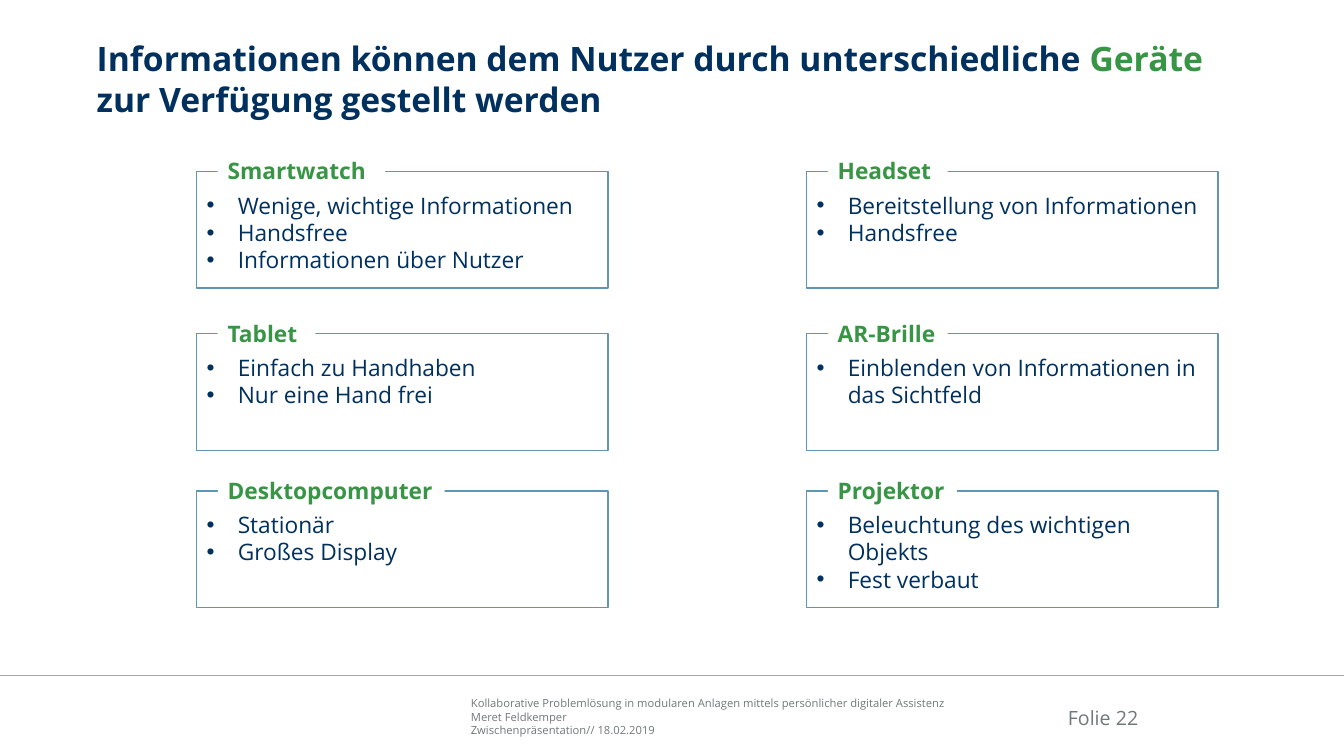
from pptx import Presentation, util as u
from pptx.dml.color import RGBColor
from pptx.enum import shapes, text
from lxml import etree

THEME = dict(font="Open Sans", navy="00305E", green="379545", blue="6096B3",
             grey="727879", rule="A6A6A6", white="FFFFFF",
             title=24, body=16.2, page=14, small=8)
A = "{http://schemas.openxmlformats.org/drawingml/2006/main}"

prs = Presentation()
prs.slide_width, prs.slide_height = u.Inches(13.33), u.Inches(7.5)
slide = prs.slides.add_slide(prs.slide_layouts[6])


def add_box(x, y, w, h, insets, anchor, fill=None, line=None):
    """Text box, or a rectangle when a fill is given."""
    area = [u.Inches(n) for n in (x, y, w, h)]
    if fill:
        sp = slide.shapes.add_shape(shapes.MSO_SHAPE.RECTANGLE, *area)
        sp.shadow.inherit = False
        sp.fill.solid()
        sp.fill.fore_color.rgb = RGBColor.from_string(THEME[fill])
        if line:
            sp.line.color.rgb = RGBColor.from_string(THEME[line])
            sp.line.width = u.Pt(1)
        else:
            sp.line.fill.background()
    else:
        sp = slide.shapes.add_textbox(*area)
    tf = sp.text_frame
    tf.word_wrap = True
    tf.vertical_anchor = anchor
    tf.margin_left, tf.margin_top, tf.margin_right, tf.margin_bottom = [
        u.Inches(n) for n in insets]
    return tf


def style(tf, size, color, bold=False, align=text.PP_ALIGN.LEFT):
    for p in tf.paragraphs:
        p.alignment = align
        for r in p.runs:
            r.font.name, r.font.size, r.font.bold = THEME["font"], u.Pt(THEME[size]), bold
            r.font.color.rgb = RGBColor.from_string(THEME[color])


TOP, MIDDLE, BOTTOM = (text.MSO_ANCHOR.TOP, text.MSO_ANCHOR.MIDDLE,
                       text.MSO_ANCHOR.BOTTOM)

# Footer: rule, talk details, page number
rule = slide.shapes.add_connector(shapes.MSO_CONNECTOR.STRAIGHT, 0, u.Inches(6.7),
                                  prs.slide_width, u.Inches(6.7))
rule.line.color.rgb = RGBColor.from_string(THEME["rule"])
rule.line.width = u.Pt(1)
etree.SubElement(rule._element.spPr, A + "effectLst")

tf = add_box(4.67, 6.91, 4.91, 0.4, (0, 0, 0, 0), BOTTOM)
tf.text = ("Kollaborative Problemlösung in modularen Anlagen mittels persönlicher "
           "digitaler Assistenz\nMeret Feldkemper\nZwischenpräsentation// 18.02.2019")
style(tf, "small", "grey")

tf = add_box(10.3, 6.87, 0.99, 0.5, (0, 0, 0, 0.13), BOTTOM)
tf.text = "Folie 22"
style(tf, "page", "grey", align=text.PP_ALIGN.RIGHT)

# Title with one highlighted word
tf = add_box(0.96, 0.38, 11.57, 0.75, (0, 0, 0, 0), TOP)
for part in ("Informationen können dem Nutzer durch unterschiedliche ", "Geräte",
             " zur Verfügung gestellt werden"):
    tf.paragraphs[0].add_run().text = part
style(tf, "title", "navy", bold=True)
tf.paragraphs[0].runs[1].font.color.rgb = RGBColor.from_string(THEME["green"])

# Device cards: two columns of three, each with a label on its top edge
COLUMNS, ROWS = (1.95, 8.0), (1.7, 3.31, 4.87)
devices = [  # name, label width, points
    ("Smartwatch", 1.66, ["Wenige, wichtige Informationen", "Handsfree",
                          "Informationen über Nutzer"]),
    ("Headset", 1.19, ["Bereitstellung von Informationen", "Handsfree"]),
    ("Tablet", 0.97, ["Einfach zu Handhaben", "Nur eine Hand frei"]),
    ("AR-Brille", 1.19, ["Einblenden von Informationen in das Sichtfeld"]),
    ("Desktopcomputer", 2.25, ["Stationär", "Großes Display"]),
    ("Projektor", 1.28, ["Beleuchtung des wichtigen Objekts", "Fest verbaut"]),
]
for i, (name, label_width, points) in enumerate(devices):
    x, y = COLUMNS[i % 2], ROWS[i // 2]
    tf = add_box(x, y, 4.08, 1.16, (0.1, 0.2, 0.1, 0.05), TOP, "white", "blue")
    tf.text = "\n".join(points)
    for p in tf.paragraphs:
        pPr = p._p.get_or_add_pPr()
        pPr.set("marL", str(u.Inches(0.31)))
        pPr.set("indent", str(-u.Inches(0.31)))
        etree.SubElement(pPr, A + "buFont", typeface="Arial")
        etree.SubElement(pPr, A + "buChar", char="•")
    style(tf, "body", "navy")

    tf = add_box(x + 0.21, y - 0.19, label_width, 0.37, (0.1, 0.05, 0.1, 0.05),
                 MIDDLE, "white")
    tf.text = name
    style(tf, "body", "green", bold=True)

prs.save("out.pptx")
